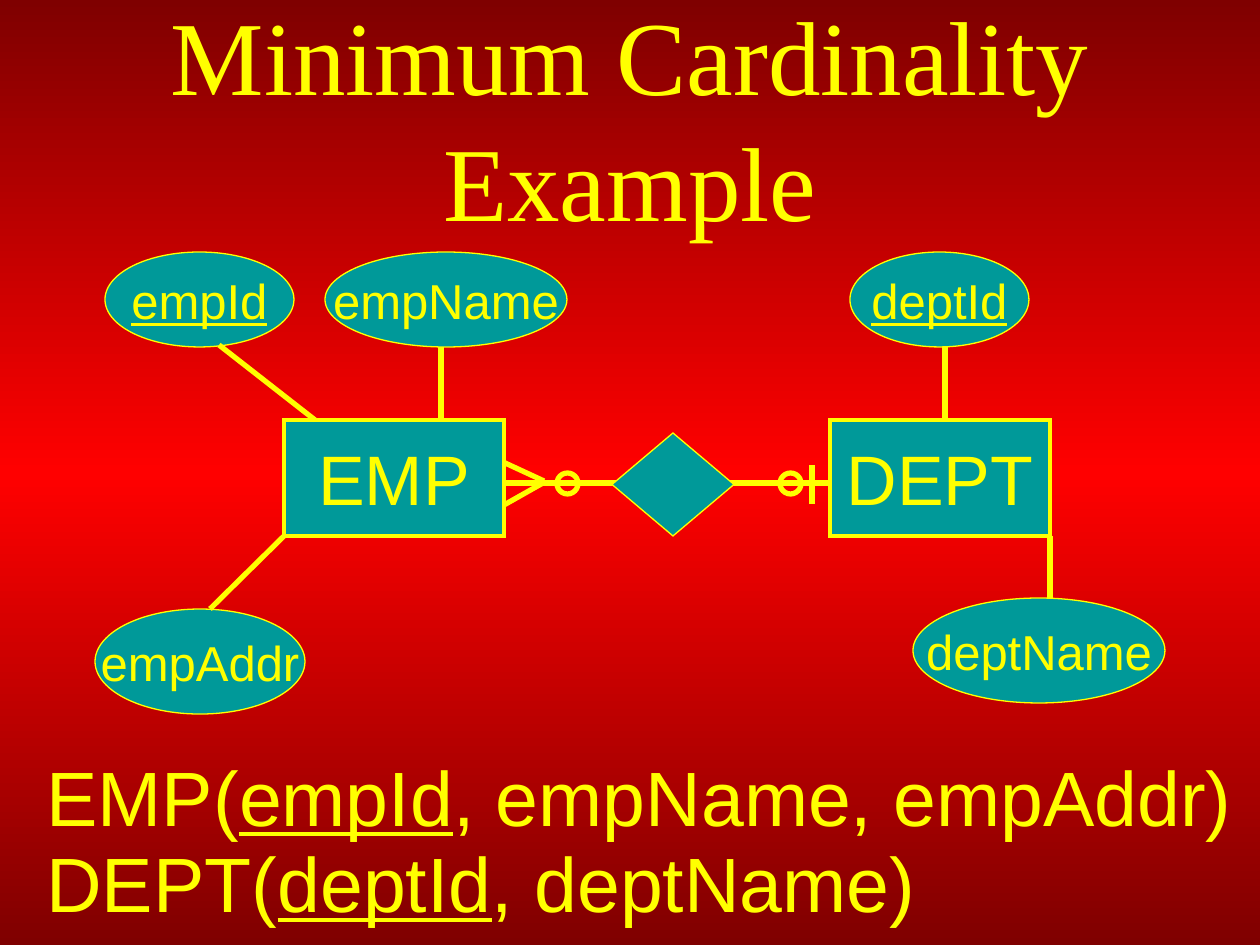
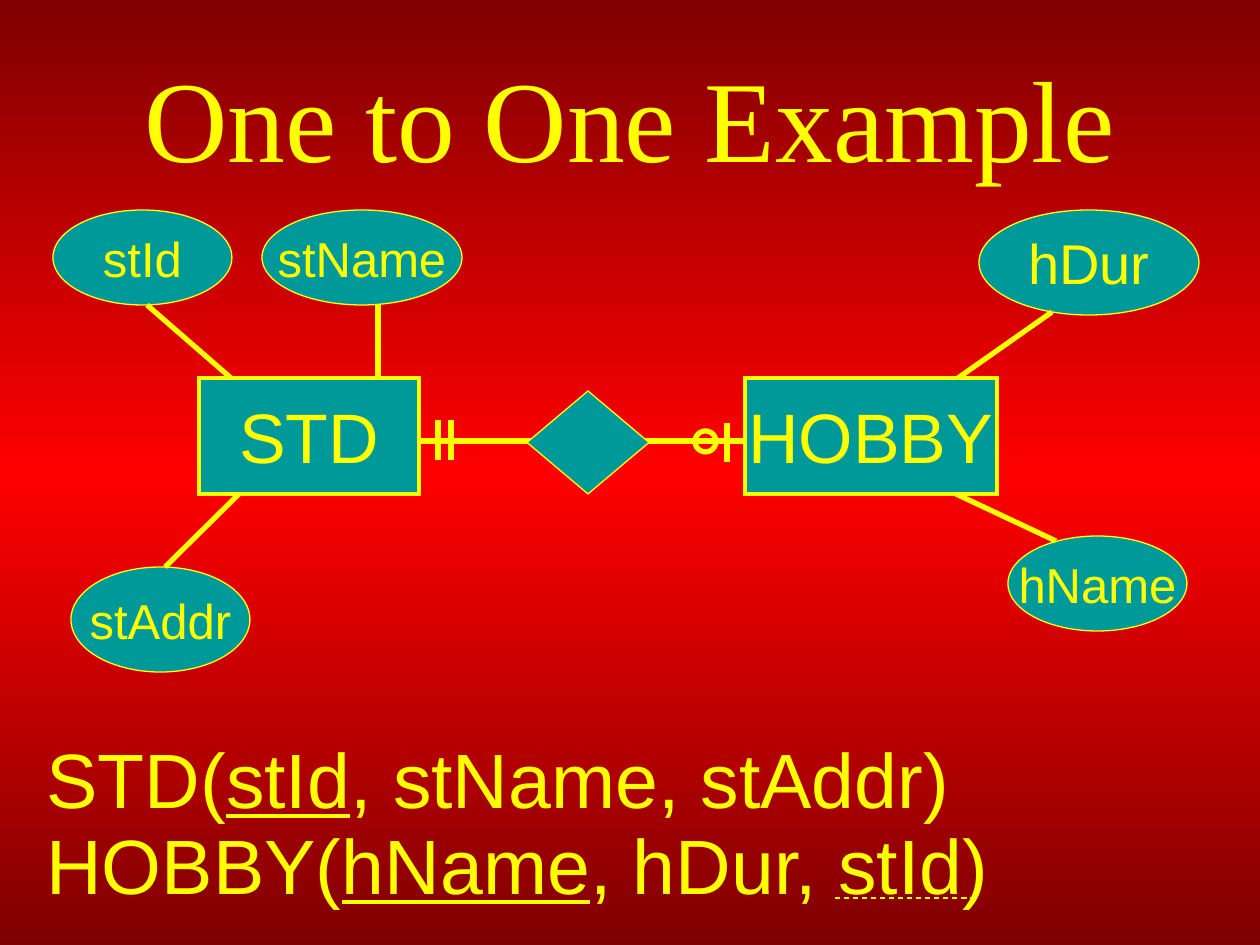
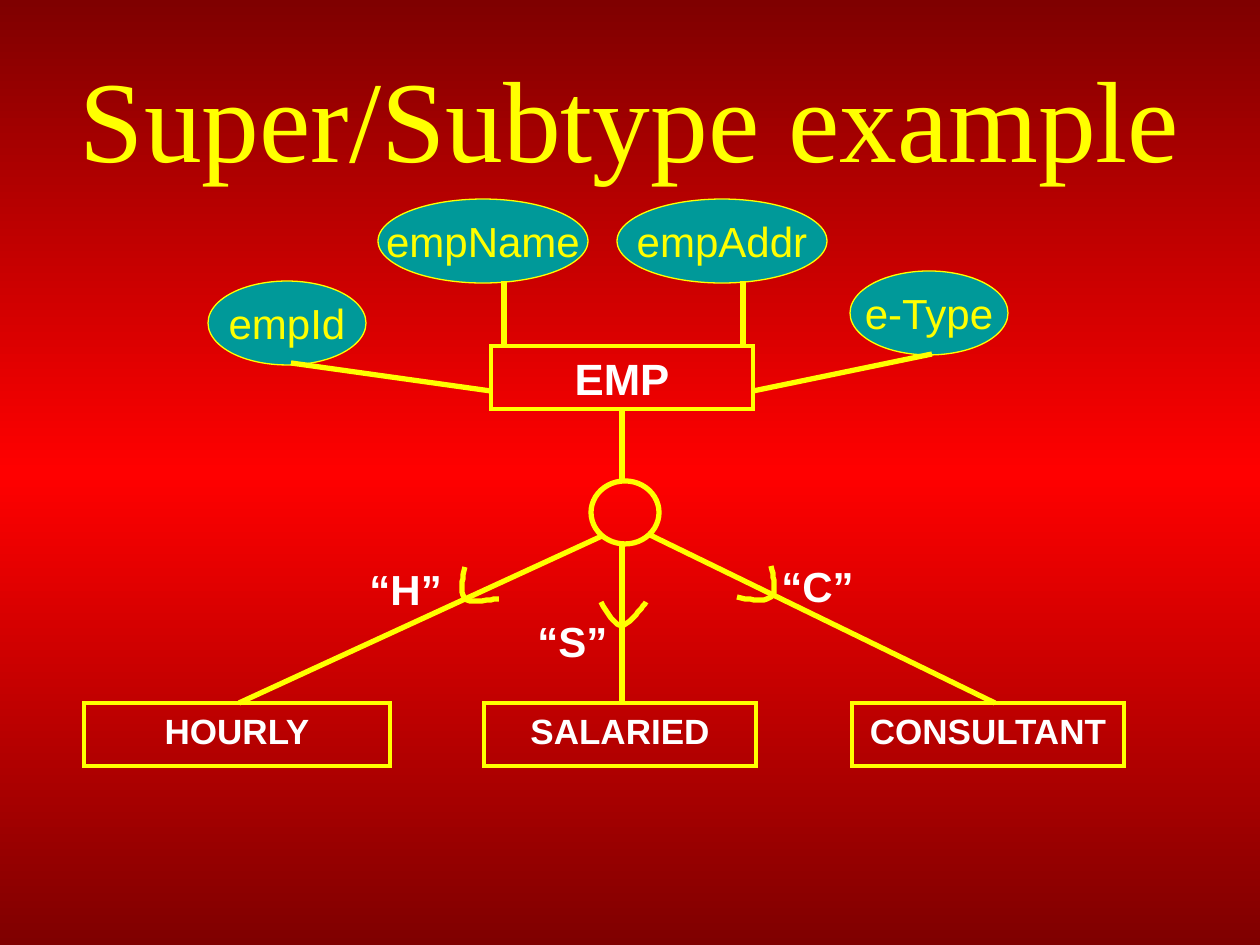
import copy

import lxml.etree
import pptx
import pptx.dml.color
import pptx.enum.dml
import pptx.enum.shapes
import pptx.enum.text
import pptx.oxml.ns
import pptx.util

PX = 914400 / 126
YELLOW, TEAL, WHITE = "FFFF00", "009999", "FFFFFF"
DARK_RED, RED = "7F0000", "FF0000"
SHAPE = pptx.enum.shapes.MSO_SHAPE
ALIGN = pptx.enum.text.PP_ALIGN
ANCHOR = pptx.enum.text.MSO_ANCHOR
FIT = pptx.enum.text.MSO_AUTO_SIZE
ENTITY_W, ENTITY_H = 220, 116


def px(*lengths):
    return [pptx.util.Emu(round(n * PX)) for n in lengths]


def rgb(color):
    return pptx.dml.color.RGBColor.from_string(color)


def set_text(tf, text, size, color=YELLOW, font="Arial", bold=False,
             align=ALIGN.CENTER, anchor=ANCHOR.MIDDLE, wrap=False):
    """Write one paragraph; parts between bars are underlined."""
    tf.word_wrap = wrap
    tf.vertical_anchor = anchor
    p = tf.paragraphs[0]
    p.alignment = align
    for i, part in enumerate(text.split("|")):
        if part:
            r = p.add_run()
            r.text = part
            r.font.name, r.font.size = font, pptx.util.Pt(size)
            r.font.bold, r.font.underline = bold, i % 2 == 1
            r.font.color.rgb = rgb(color)


def style(sp, width, fill=None):
    sp.shadow.inherit = False
    if fill:
        sp.fill.solid()
        sp.fill.fore_color.rgb = rgb(fill)
    else:
        sp.fill.background()
    sp.line.color.rgb = rgb(YELLOW)
    sp.line.width = pptx.util.Pt(width)
    # Sharp corners
    ln = sp._element.spPr.find(pptx.oxml.ns.qn("a:ln"))
    lxml.etree.SubElement(ln, pptx.oxml.ns.qn("a:miter"), lim="800000")


def add_box(s, kind, x, y, w, h, width, fill=None):
    sp = s.shapes.add_shape(kind, *px(x, y, w, h))
    style(sp, width, fill)
    return sp


def add_line(s, x, y, ends, width=3):
    x1, y1, x2, y2 = ends
    line = s.shapes.add_connector(pptx.enum.shapes.MSO_CONNECTOR.STRAIGHT,
                                  *px(x + x1, y + y1, x + x2, y + y2))
    line.line.color.rgb = rgb(YELLOW)
    line.line.width = pptx.util.Pt(width)
    lxml.etree.SubElement(line._element.spPr, pptx.oxml.ns.qn("a:effectLst"))
    return line


def add_curve(s, x, y, points, steps=10):
    """Draw joined cubic curves through every third point."""
    path = []
    for i in range(0, len(points) - 1, 3):
        a, b, c, d = points[i:i + 4]
        for n in range(1, steps + 1):
            t = n / steps
            u = 1 - t
            path.append([o + u**3 * a[k] + 3 * u * u * t * b[k]
                         + 3 * u * t * t * c[k] + t**3 * d[k]
                         for k, o in enumerate((x, y))])
    builder = s.shapes.build_freeform(x + points[0][0], y + points[0][1], scale=PX)
    builder.add_line_segments(path, close=False)
    style(builder.convert_to_shape(), 3)


def add_attribute(s, x, y, text, place, link, size=28):
    """Ellipse with its link to the entity."""
    dx, dy, w, h = place
    sp = add_box(s, SHAPE.OVAL, x + dx, y + dy, w, h, 0.75, TEAL)
    set_text(sp.text_frame, text, size)
    add_line(s, x, y, link)


def add_title_slide(prs, title, size):
    s = prs.slides.add_slide(prs.slide_layouts[5])
    sp = s.shapes.title
    sp.left, sp.top, sp.width, sp.height = px(63, 38, 1134, 157)
    sp.text_frame.auto_size = FIT.NONE
    set_text(sp.text_frame, title, size, font="Times New Roman", wrap=True)
    return s


def set_background(master):
    fill = master.background.fill
    fill.gradient()
    fill.gradient_angle = 90
    stops = master.element.find(".//" + pptx.oxml.ns.qn("a:gsLst"))
    stops.insert(1, copy.deepcopy(stops[0]))
    for stop, color, position in zip(fill.gradient_stops,
                                     (DARK_RED, RED, DARK_RED), (0, 0.5, 1)):
        stop.color.rgb = rgb(color)
        stop.position = position


def add_relationship(s, x, y, left, right, right_w, left_marks, left_circle=False):
    """Two entities joined through a diamond, with cardinality marks."""
    for name, dx, w in ((left, 0, ENTITY_W), (right, 546, right_w)):
        sp = add_box(s, SHAPE.RECTANGLE, x + dx, y, w, ENTITY_H, 2.25, TEAL)
        set_text(sp.text_frame, name, 40)
    add_line(s, x, y, (ENTITY_W, 63, 546, 63))
    add_box(s, SHAPE.DIAMOND, x + 328, y + 13, 122, 103, 0.75, TEAL)
    for ends in left_marks + [(528, 84, 528, 45)]:
        add_line(s, x, y, ends)
    for dx in [273, 496] if left_circle else [496]:
        add_box(s, SHAPE.OVAL, x + dx, y + 53, 21, 21, 3)


def add_schema(s, x, y, relations):
    """Relation schemas, one line each."""
    for i, (text, w) in enumerate(relations):
        tf = s.shapes.add_textbox(*px(x, y + 86 * i, w, 106)).text_frame
        set_text(tf, text, 44, align=ALIGN.LEFT, anchor=ANCHOR.TOP, wrap=True)
        tf.auto_size = FIT.SHAPE_TO_FIT_TEXT


def add_subtypes(s, x, y):
    """Supertype with attributes, discriminator circle and subtypes."""
    for name, dx, dy, w, size in (("EMP", 407, 147, 262, 25),
                                  ("HOURLY", 0, 504, 306, 20),
                                  ("SALARIED", 400, 504, 272, 20),
                                  ("CONSULTANT", 768, 504, 272, 20)):
        sp = add_box(s, SHAPE.RECTANGLE, x + dx, y + dy, w, 63, 2)
        set_text(sp.text_frame, name, size, WHITE, bold=True,
                 anchor=ANCHOR.TOP, wrap=True)

    # Discriminator and branches
    add_box(s, SHAPE.OVAL, x + 507, y + 282, 68, 63, 3)
    for ends in ((538, 211, 538, 282), (518, 337, 155, 504),
                 (564, 335, 911, 504), (538, 344, 538, 504)):
        add_line(s, x, y, ends)
    for points in (
        [(381, 368), (378, 381), (376, 394), (381, 400),
         (387, 405), (410, 400), (415, 400)],
        [(687, 367), (690, 379), (693, 392), (687, 398),
         (682, 403), (667, 401), (653, 398)],
        [(517, 403), (523, 415), (530, 426), (537, 426),
         (546, 427), (559, 407), (562, 403)],
    ):
        add_curve(s, x, y, points)

    # Attributes
    for text, place, link in (
        ("empName", (294, 0, 210, 84), (420, 147, 420, 82)),
        ("empId", (124, 82, 158, 84), (407, 192, 207, 164)),
        ("e-Type", (766, 72, 158, 84), (669, 192, 848, 155)),
        ("empAddr", (533, 0, 210, 84), (659, 147, 659, 82)),
    ):
        add_attribute(s, x, y, text, place, link, 24)

    # Discriminator values
    for text, dx, dy in (("“H”", 273, 358), ("“S”", 441, 410), ("“C”", 685, 355)):
        tf = s.shapes.add_textbox(*px(x + dx, y + dy, 105, 63)).text_frame
        set_text(tf, text, 24, WHITE, bold=True, align=ALIGN.LEFT,
                 anchor=ANCHOR.TOP, wrap=True)
        tf.auto_size = FIT.SHAPE_TO_FIT_TEXT


def minimum_cardinality(prs):
    s = add_title_slide(prs, "Minimum Cardinality Example", 60)
    x, y = 284, 420
    crow_foot = [(219, 42, 260, 61), (220, 85, 259, 63)]
    add_relationship(s, x, y, "EMP", "DEPT", ENTITY_W, crow_foot, left_circle=True)
    for text, place, link in (
        ("|deptId|", (566, -168, 179, 95), (661, 0, 661, -73)),
        ("deptName", (629, 178, 252, 105), (766, 116, 766, 178)),
        ("empName", (41, -168, 242, 95), (157, 0, 157, -73)),
        ("|empId|", (-179, -168, 189, 95), (31, 0, -65, -75)),
        ("empAddr", (-189, 189, 210, 105), (0, 116, -74, 189)),
    ):
        add_attribute(s, x, y, text, place, link)
    add_schema(s, 34, 743, [("EMP(|empId|, empName, empAddr)", 1226),
                            ("DEPT(|deptId|, deptName)", 910)])


def one_to_one(prs):
    s = add_title_slide(prs, "One to One Example", 66)
    x, y = 199, 378
    double_bar = [(dx, 82, dx, 42) for dx in (239, 252)]
    add_relationship(s, x, y, "STD", "HOBBY", 252, double_bar)
    for text, place, link, size in (
        ("stName", (63, -168, 200, 95), (179, 0, 179, -73), 28),
        ("stId", (-146, -168, 179, 95), (32, 0, -52, -73), 28),
        ("stAddr", (-128, 189, 179, 105), (40, 116, -34, 189), 28),
        ("hDur", (780, -168, 220, 105), (759, 0, 853, -66), 32),
        ("hName", (809, 158, 179, 95), (757, 116, 857, 163), 28),
    ):
        add_attribute(s, x, y, text, place, link, size)
    add_schema(s, 34, 725, [("STD(|stId|, stName, stAddr)", 944),
                            ("HOBBY(|hName|, hDur, stId)", 986)])
    # Foreign key mark
    mark = add_line(s, 34, 725, (801, 173, 937, 173), 0.75)
    mark.line.dash_style = pptx.enum.dml.MSO_LINE.DASH


def super_subtype(prs):
    s = add_title_slide(prs, "Super/Subtype example", 66)
    add_subtypes(s, 84, 199)


def main():
    prs = pptx.Presentation()
    prs.slide_width, prs.slide_height = px(1260, 945)
    set_background(prs.slide_master)
    minimum_cardinality(prs)
    one_to_one(prs)
    super_subtype(prs)
    prs.save("out.pptx")


if __name__ == "__main__":
    main()
